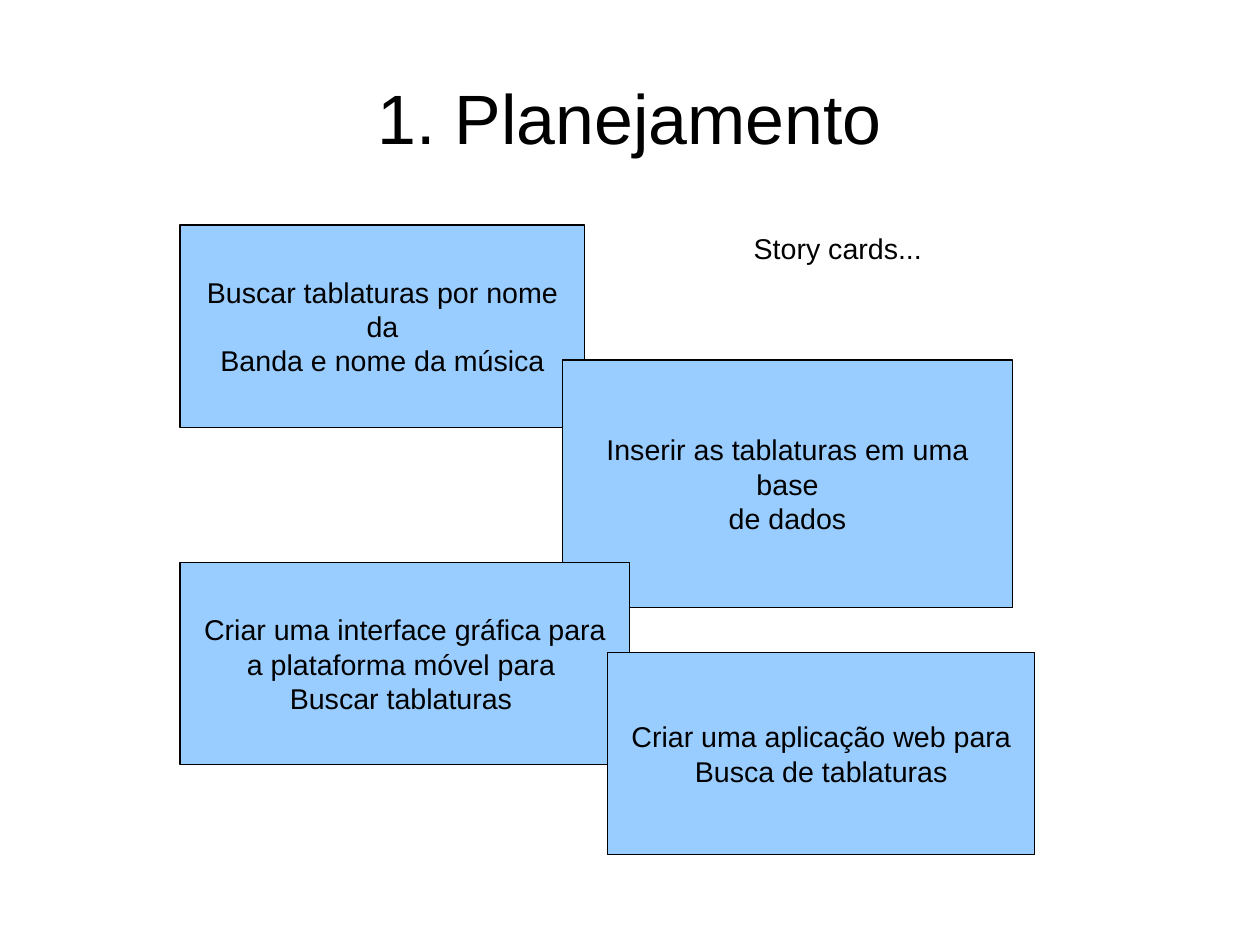
from pptx import Presentation
from pptx.dml.color import RGBColor
from pptx.enum.shapes import MSO_SHAPE
from pptx.enum.text import MSO_ANCHOR, PP_ALIGN
from pptx.util import Cm, Pt

FONT = "Arial"
BLACK = "000000"
CARD_BLUE = "99CCFF"
INSETS = ("margin_left", "margin_top", "margin_right", "margin_bottom")
CARD_INSETS = (0.25, 0.13, 0.25, 0.13)
NO_INSETS = (0, 0, 0, 0)

STORIES = [
    ((4, 5, 9, 4.5),
     ["Buscar tablaturas por nome da", "Banda e nome da música"]),
    ((12.5, 8, 10, 5.5),
     ["Inserir as tablaturas em uma base", "de dados"]),
    ((4, 12.5, 10, 4.5),
     ["Criar uma interface gráfica para", "a plataforma móvel para ",
      "Buscar tablaturas "]),
    ((13.5, 14.5, 9.5, 4.5),
     ["Criar uma aplicação web para", "Busca de tablaturas"]),
]


def color(hex_value):
    return RGBColor.from_string(hex_value)


def apply(target, values):
    for attribute, value in values.items():
        setattr(target, attribute, value)


def write(frame, lines, size, align, anchor, insets):
    apply(frame, {"word_wrap": True, "vertical_anchor": anchor})
    apply(frame, dict(zip(INSETS, map(Cm, insets))))
    for index, line in enumerate(lines):
        paragraph = frame.add_paragraph() if index else frame.paragraphs[0]
        paragraph.alignment = align
        run = paragraph.add_run()
        run.text = line
        apply(run.font, {"name": FONT, "size": Pt(size)})
        run.font.color.rgb = color(BLACK)


def add_label(slide, box, text, size, align, anchor, insets):
    label = slide.shapes.add_textbox(*map(Cm, box))
    write(label.text_frame, [text], size, align, anchor, insets)


def add_story_card(slide, box, lines):
    card = slide.shapes.add_shape(MSO_SHAPE.RECTANGLE, *map(Cm, box))
    card.shadow.inherit = False
    card.fill.solid()
    card.fill.fore_color.rgb = color(CARD_BLUE)
    card.line.color.rgb = color(BLACK)
    card.line.width = Pt(0)
    write(card.text_frame, lines, 18, PP_ALIGN.CENTER, MSO_ANCHOR.MIDDLE,
          CARD_INSETS)


def main():
    deck = Presentation()
    apply(deck, {"slide_width": Cm(28), "slide_height": Cm(21)})
    slide = deck.slides.add_slide(deck.slide_layouts[6])
    add_label(slide, (1.4, 0.84, 25.2, 3.5), "1. Planejamento", 44,
              PP_ALIGN.CENTER, MSO_ANCHOR.MIDDLE, NO_INSETS)
    for box, lines in STORIES:
        add_story_card(slide, box, lines)
    add_label(slide, (16.5, 5, 7.5, 0.97), "Story cards...", 18,
              PP_ALIGN.LEFT, MSO_ANCHOR.TOP, CARD_INSETS)
    deck.save("out.pptx")


main()
